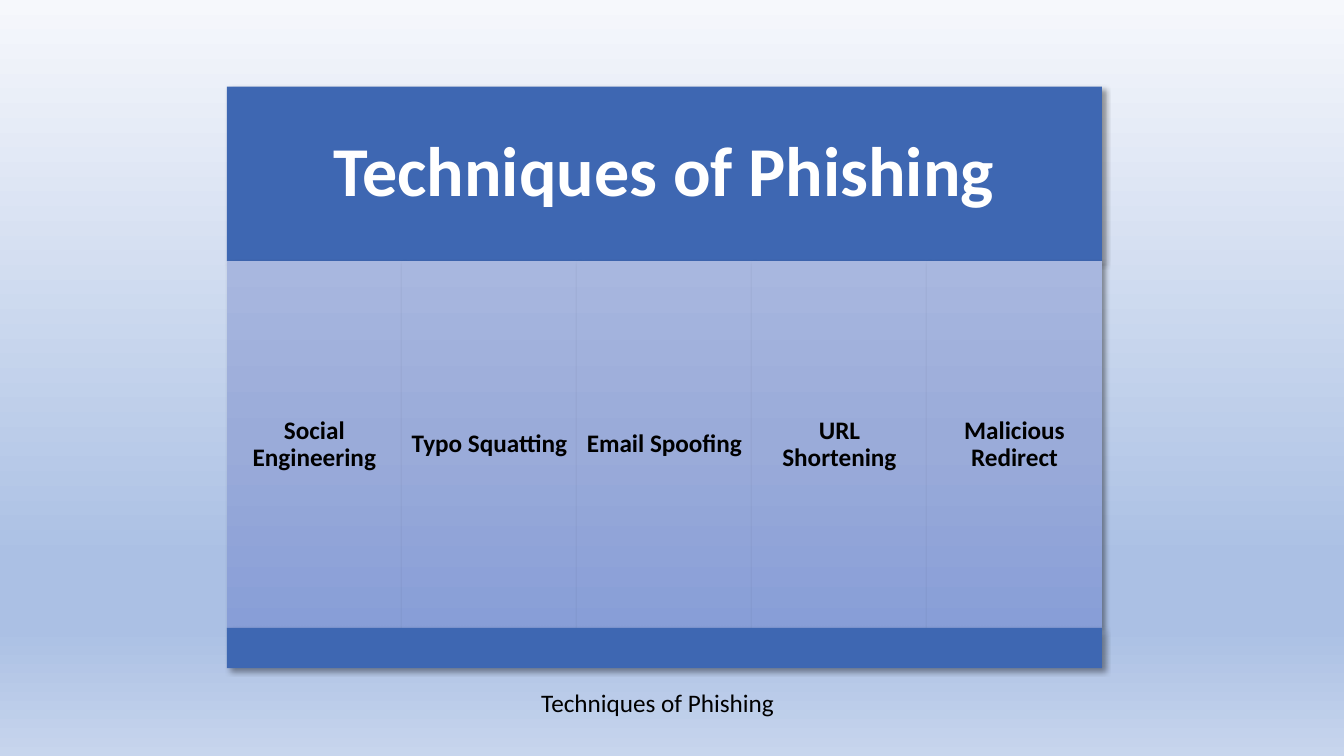
from lxml.etree import SubElement
from pptx import Presentation
from pptx.dml.color import RGBColor
from pptx.enum.shapes import MSO_SHAPE
from pptx.enum.text import MSO_ANCHOR, MSO_AUTO_SIZE, PP_ALIGN
from pptx.oxml.ns import qn
from pptx.util import Inches, Pt

BLUE = RGBColor(0x3E, 0x67, 0xB2)
WHITE = RGBColor(0xFF, 0xFF, 0xFF)
BLACK = RGBColor(0x00, 0x00, 0x00)
BACKGROUND_STOPS = [
    (0, RGBColor(0xF6, 0xF8, 0xFC)),
    (74, RGBColor(0xAB, 0xC0, 0xE4)),
    (83, RGBColor(0xAB, 0xC0, 0xE4)),
    (100, RGBColor(0xC7, 0xD5, 0xED)),
]
COLUMN_STOPS = [
    (0, RGBColor(0xA8, 0xB7, 0xDF)),
    (50, RGBColor(0x9A, 0xAB, 0xD9)),
    (100, RGBColor(0x88, 0x9E, 0xD7)),
]
TITLE = "Techniques of Phishing"
TECHNIQUES = [
    "Social Engineering",
    "Typo Squatting",
    "Email Spoofing",
    "URL Shortening",
    "Malicious Redirect",
]
LEFT, TOP, WIDTH = 2.25, 0.86, 8.68
HEADER_HEIGHT, COLUMN_HEIGHT, FOOTER_HEIGHT = 1.73, 3.64, 0.4
COLUMN_TOP = TOP + HEADER_HEIGHT
FOOTER_TOP = COLUMN_TOP + COLUMN_HEIGHT
COLUMN_WIDTH = WIDTH / len(TECHNIQUES)


def apply_format(target, values):
    """Set every attribute named in a dict of format values."""
    for name, value in values.items():
        setattr(target, name, value)


def place(shape, left, top, width, height):
    """Position a shape, with lengths in inches."""
    names = ("left", "top", "width", "height")
    lengths = map(Inches, (left, top, width, height))
    apply_format(shape, dict(zip(names, lengths)))


def apply_gradient(fill, element, stops):
    """Fill from top to bottom through the given percent and colour stops."""
    fill.gradient()
    fill.gradient_angle = 270
    stop_list = next(element.iter(qn("a:gsLst")))
    for stop in list(stop_list):
        stop_list.remove(stop)
    for percent, color in stops:
        stop = SubElement(stop_list, qn("a:gs"), pos=str(percent * 1000))
        SubElement(stop, qn("a:srgbClr"), val=str(color))


def add_shadow(shape):
    """Give a shape a soft shadow to its lower right."""
    shape.shadow.inherit = False
    effects = shape._element.spPr.find(qn("a:effectLst"))
    shadow = SubElement(
        effects, qn("a:outerShdw"), blurRad=str(Pt(4)), dist=str(Pt(3)),
        dir="2700000", algn="tl", rotWithShape="0",
    )
    color = SubElement(shadow, qn("a:srgbClr"), val=str(BLACK))
    SubElement(color, qn("a:alpha"), val="40000")


def style_panel(shape, stops=None):
    """Give a panel its fill and shadow and remove its outline."""
    if stops:
        apply_gradient(shape.fill, shape._element, stops)
    else:
        shape.fill.solid()
        shape.fill.fore_color.rgb = BLUE
    shape.line.fill.background()
    add_shadow(shape)


def write_text(shape, text, size, color, bold):
    """Write one Calibri paragraph in a shape."""
    frame = shape.text_frame
    frame.text = text
    apply_format(frame, {"word_wrap": True, "auto_size": MSO_AUTO_SIZE.NONE})
    font = frame.paragraphs[0].runs[0].font
    apply_format(font, {"name": "Calibri", "size": Pt(size), "bold": bold})
    font.color.rgb = color


def center_text(shape, inset):
    """Center the text of a panel inside equal insets."""
    frame = shape.text_frame
    sides = ("left", "right", "top", "bottom")
    apply_format(frame, {f"margin_{side}": Inches(inset) for side in sides})
    frame.vertical_anchor = MSO_ANCHOR.MIDDLE
    apply_format(
        frame.paragraphs[0], {"alignment": PP_ALIGN.CENTER, "line_spacing": 0.9}
    )


def add_header(slide):
    """Turn the title placeholder into the header panel."""
    header = slide.shapes.title
    place(header, LEFT, TOP, WIDTH, HEADER_HEIGHT)
    style_panel(header)
    write_text(header, TITLE, 50, WHITE, True)
    center_text(header, 0.21)


def add_panel(slide, left, top, width, height, stops=None):
    """Add a rectangular panel."""
    panel = slide.shapes.add_shape(
        MSO_SHAPE.RECTANGLE, *map(Inches, (left, top, width, height))
    )
    style_panel(panel, stops)
    return panel


def add_technique(slide, index, name):
    """Add the column of one technique."""
    left = LEFT + index * COLUMN_WIDTH
    column = add_panel(
        slide, left, COLUMN_TOP, COLUMN_WIDTH, COLUMN_HEIGHT, COLUMN_STOPS
    )
    write_text(column, name, 18, BLACK, True)
    center_text(column, 0.07)


def add_caption(slide):
    """Add the caption below the panels."""
    caption = slide.shapes.add_textbox(*map(Inches, (5.27, 6.77, 3.17, 0.4)))
    write_text(caption, TITLE, 18, BLACK, False)


def main():
    """Build and save the slide."""
    presentation = Presentation()
    apply_format(
        presentation,
        {"slide_width": Inches(13.33), "slide_height": Inches(7.5)},
    )
    slide = presentation.slides.add_slide(presentation.slide_layouts[5])
    apply_gradient(slide.background.fill, slide._element, BACKGROUND_STOPS)
    add_header(slide)
    for index, name in enumerate(TECHNIQUES):
        add_technique(slide, index, name)
    add_panel(slide, LEFT, FOOTER_TOP, WIDTH, FOOTER_HEIGHT)
    add_caption(slide)
    presentation.save("out.pptx")


if __name__ == "__main__":
    main()
